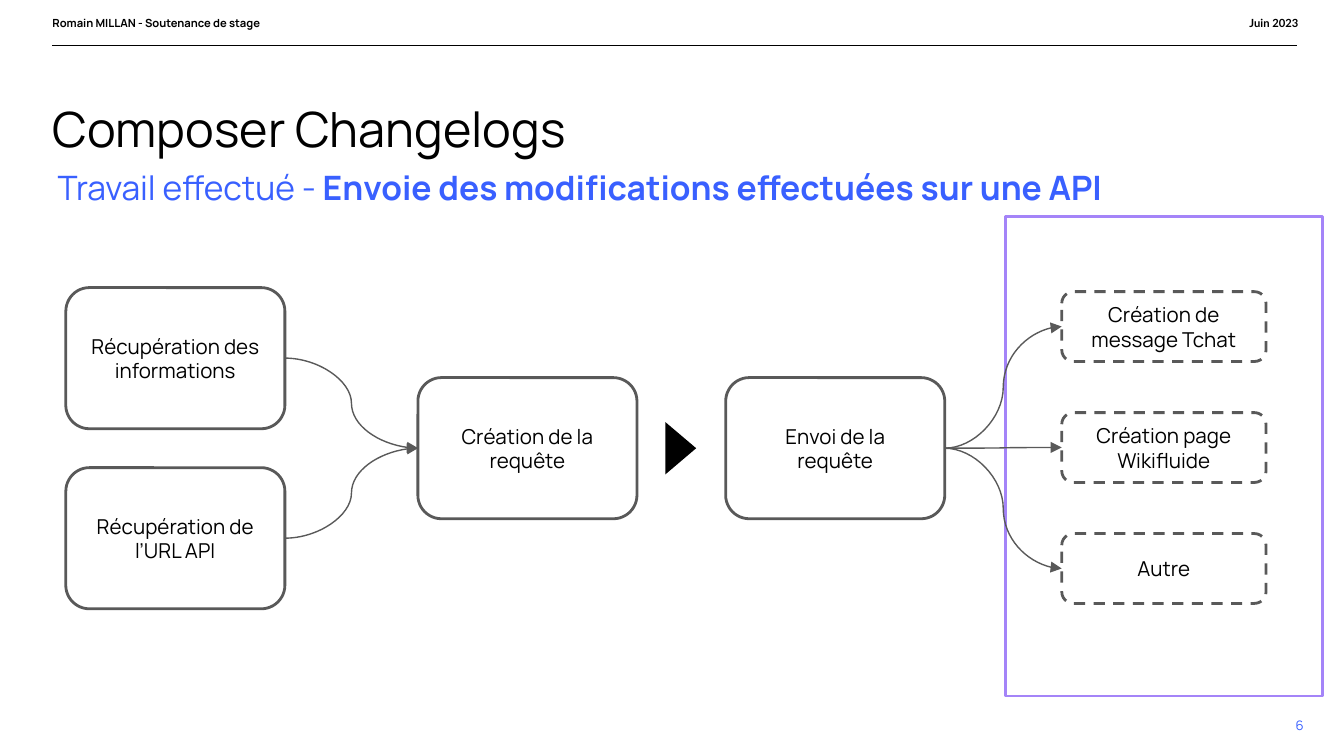
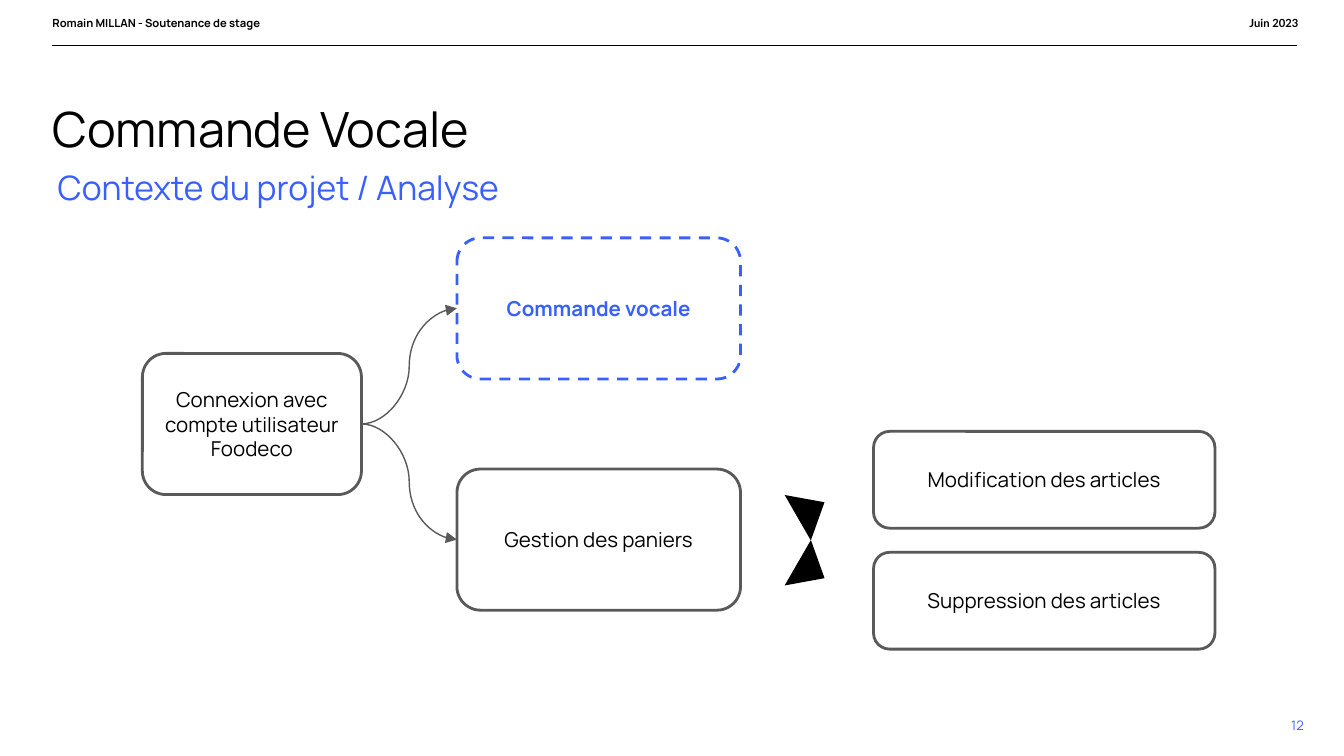
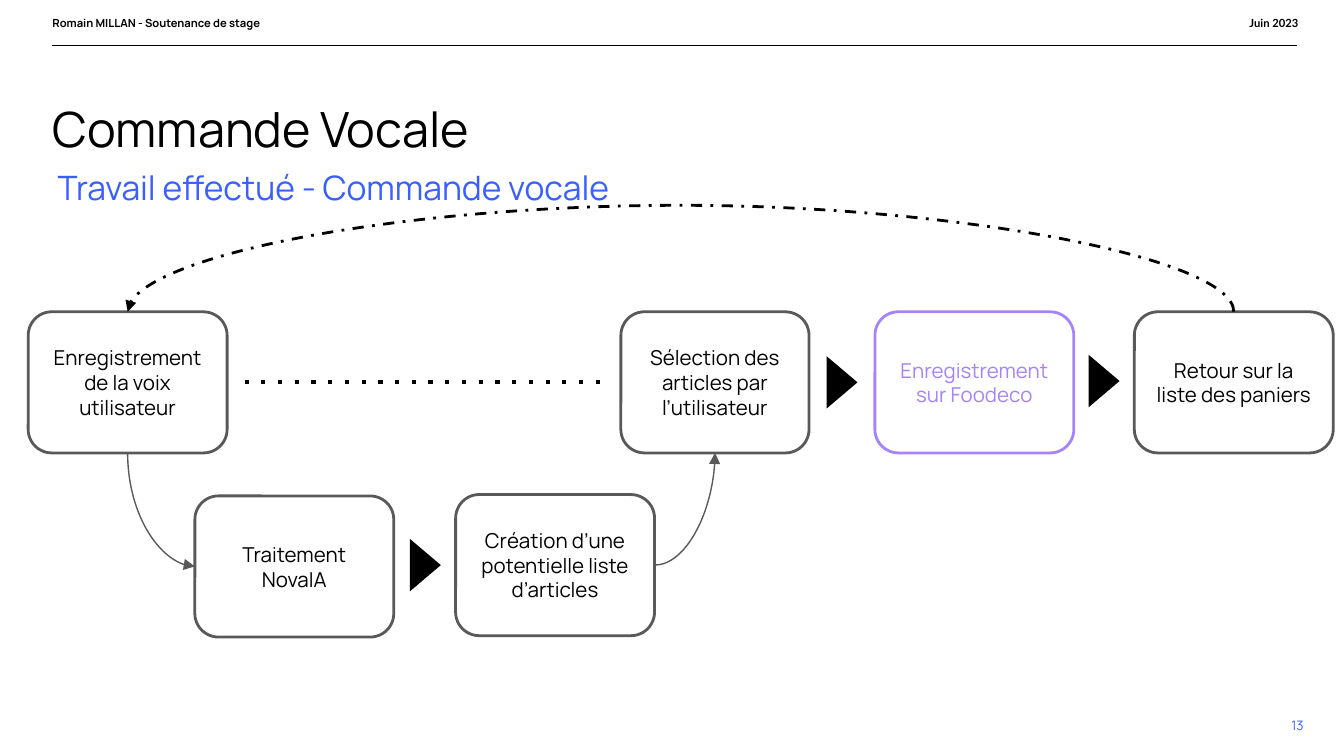
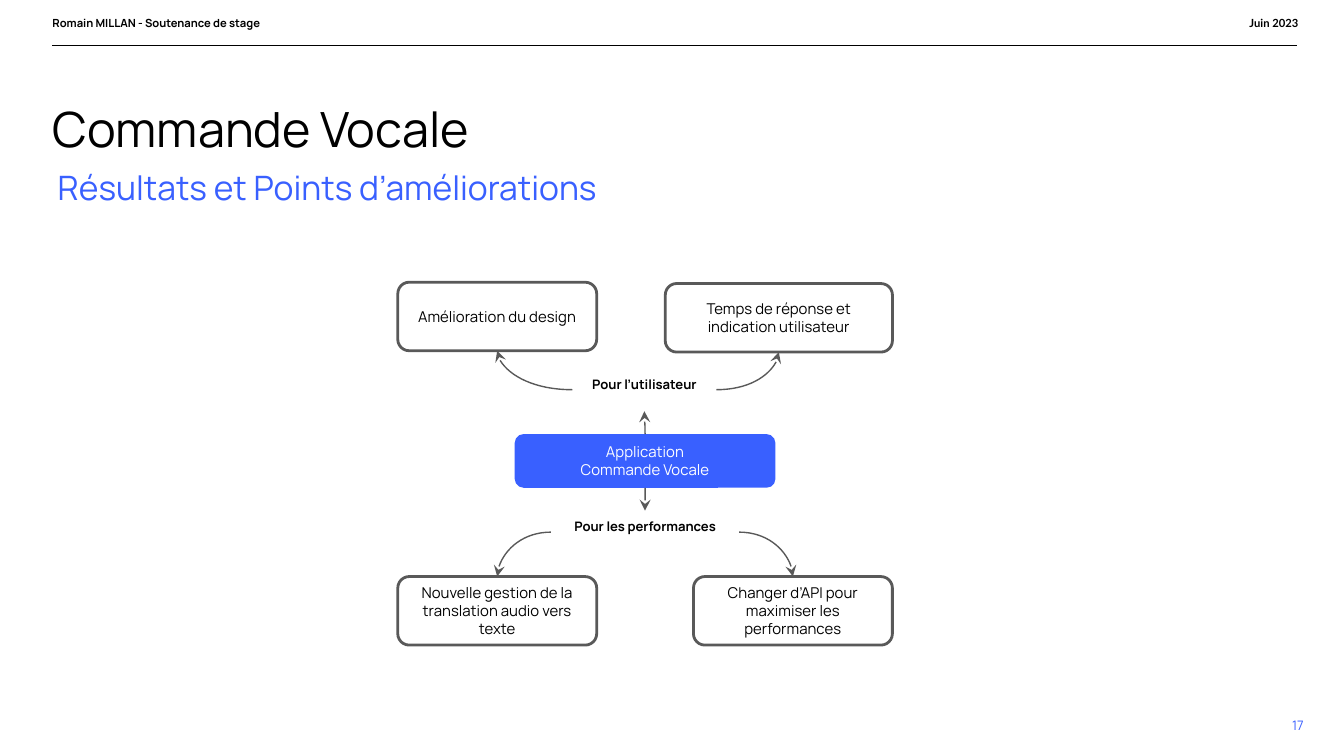
from typing import NamedTuple, Optional

import pptx
import pptx.dml.color
import pptx.enum.dml
import pptx.enum.shapes
import pptx.enum.text
import pptx.oxml
import pptx.oxml.ns
import pptx.util

Inches, Pt = pptx.util.Inches, pptx.util.Pt
SHAPE = pptx.enum.shapes.MSO_SHAPE
CONNECTOR = pptx.enum.shapes.MSO_CONNECTOR
ALIGN = pptx.enum.text.PP_ALIGN
ANCHOR = pptx.enum.text.MSO_ANCHOR
DASH = pptx.enum.dml.MSO_LINE
qn = pptx.oxml.ns.qn

COLORS = {"black": "000000", "white": "FFFFFF", "grey": "595959",
          "blue": "3960FF", "purple": "A484F8"}
FONT = "Manrope"
TOP, LEFT, BOTTOM, RIGHT = range(4)  # connection sites of a rectangle
INSET = 0.1


class Rect(NamedTuple):
    x: float
    y: float
    w: float
    h: float

    def lengths(self) -> list:
        return [Inches(v) for v in self]


class Style(NamedTuple):
    size: float
    color: str = "black"
    bold: Optional[bool] = None
    align: ALIGN = ALIGN.LEFT
    font: str = FONT


class Box(NamedTuple):
    text: str
    rect: Rect
    size: float = 11
    line: Optional[str] = "grey"
    fill: str = "white"
    color: str = "black"
    dash: Optional[DASH] = None
    bold: Optional[bool] = None


class Curve(NamedTuple):
    start: object
    start_site: int
    end: object
    end_site: int
    head: str = "triangle"
    color: str = "grey"
    width: float = 0.75
    dash: Optional[DASH] = None
    rise: float = 0  # height of the arch when both ends are level


# Basic drawing
def rgb(name: str) -> pptx.dml.color.RGBColor:
    return pptx.dml.color.RGBColor.from_string(COLORS[name])


def set_style(p, style: Style) -> None:
    p.alignment = style.align
    p.font.name, p.font.size, p.font.bold = style.font, Pt(style.size), style.bold
    p.font.color.rgb = rgb(style.color)


def fill_text(tf, text: str, style: Style, insets=(INSET,) * 4, anchor=ANCHOR.TOP):
    """Write text, one paragraph a line; insets are left, top, right, bottom."""
    tf.word_wrap = True
    tf.vertical_anchor = anchor
    tf.margin_left, tf.margin_top, tf.margin_right, tf.margin_bottom = map(Inches, insets)
    tf.text = text
    for p in tf.paragraphs:
        set_style(p, style)
    return tf.paragraphs[0]


def add_text(slide, rect: Rect, text: str, style: Style, insets=(0, 0, 0, 0),
             anchor=ANCHOR.TOP):
    tf = slide.shapes.add_textbox(*rect.lengths()).text_frame
    return fill_text(tf, text, style, insets, anchor)


def add_shape(slide, kind: SHAPE, rect: Rect, fill: Optional[str] = None,
              line: Optional[str] = None):
    sp = slide.shapes.add_shape(kind, *rect.lengths())
    sp.shadow.inherit = False
    if fill:
        sp.fill.solid()
        sp.fill.fore_color.rgb = rgb(fill)
    else:
        sp.fill.background()
    if line:
        sp.line.color.rgb = rgb(line)
        sp.line.width = Pt(1.5)
    else:
        sp.line.fill.background()
    return sp


def add_box(slide, box: Box):
    sp = add_shape(slide, SHAPE.ROUNDED_RECTANGLE, box.rect, box.fill, box.line)
    if box.dash:
        sp.line.dash_style = box.dash
    fill_text(sp.text_frame, box.text,
              Style(box.size, box.color, box.bold, ALIGN.CENTER), anchor=ANCHOR.MIDDLE)
    return sp


def add_label(slide, rect: Rect, text: str):
    sp = slide.shapes.add_textbox(*rect.lengths())
    fill_text(sp.text_frame, text, Style(7, bold=True, align=ALIGN.CENTER))
    sp.text_frame.auto_size = pptx.enum.text.MSO_AUTO_SIZE.SHAPE_TO_FIT_TEXT
    return sp


def add_triangle(slide, x: float, y: float, rotation: float = 90) -> None:
    sp = add_shape(slide, SHAPE.ISOSCELES_TRIANGLE, Rect(x, y, 0.39, 0.23), "black")
    sp.rotation = rotation


# Lines and curves
def style_line(sp, color: str, width: float, dash: Optional[DASH] = None) -> None:
    sp.line.color.rgb = rgb(color)
    sp.line.width = Pt(width)
    if dash:
        sp.line.dash_style = dash
    sp._element.spPr.append(pptx.oxml.parse_xml(
        '<a:effectLst %s/>' % pptx.oxml.ns.nsdecls("a")))


def add_line(slide, x1: float, x2: float, y: float, width: float,
             dash: Optional[DASH] = None):
    sp = slide.shapes.add_connector(CONNECTOR.STRAIGHT, Inches(x1), Inches(y),
                                    Inches(x2), Inches(y))
    style_line(sp, "black", width, dash)
    return sp


def turn_upright(sp, rise: float) -> None:
    """Make a curve leave its start vertically: a quarter turn plus flips."""
    dx, dy = sp.end_x - sp.begin_x, sp.end_y - sp.begin_y
    mid_x, mid_y = (sp.begin_x + sp.end_x) // 2, (sp.begin_y + sp.end_y) // 2
    length = max(abs(dy), 600)
    sp.width, sp.height = length, abs(dx)
    sp.left, sp.top = mid_x - length // 2, mid_y - abs(dx) // 2
    xfrm = sp._element.spPr.xfrm
    xfrm.set("rot", str(90 * 60000))
    xfrm.flipH, xfrm.flipV = dy < 0, dx > 0
    if rise:
        adjust = round(-Inches(rise) / length * 100000)
        guides = sp._element.spPr.find(qn("a:prstGeom")).find(qn("a:avLst"))
        guides.append(pptx.oxml.parse_xml(
            '<a:gd %s name="adj1" fmla="val %d"/>' % (pptx.oxml.ns.nsdecls("a"), adjust)))


def add_curve(slide, curve: Curve) -> None:
    sp = slide.shapes.add_connector(CONNECTOR.CURVE, 0, 0, 0, 0)
    sp.begin_connect(curve.start, curve.start_site)
    sp.end_connect(curve.end, curve.end_site)
    upright = curve.start_site in (TOP, BOTTOM)
    if upright != (curve.end_site in (TOP, BOTTOM)):
        sp._element.spPr.find(qn("a:prstGeom")).set("prst", "curvedConnector2")
    if upright:
        turn_upright(sp, curve.rise)
    style_line(sp, curve.color, curve.width, curve.dash)
    sp._element.spPr.find(qn("a:ln")).append(pptx.oxml.parse_xml(
        '<a:tailEnd %s type="%s"/>' % (pptx.oxml.ns.nsdecls("a"), curve.head)))


# Header, titles and page number shared by the slides
def new_slide(prs, title: str, subtitle: str, page: int, bold_part: str = ""):
    slide = prs.slides.add_slide(prs.slide_layouts[6])
    add_line(slide, 0.39, 9.65, 0.34, 0.75)
    add_text(slide, Rect(0.39, 0.12, 2.16, 0.3), "Romain MILLAN - Soutenance de stage",
             Style(6, bold=True))
    add_text(slide, Rect(8.39, 0.12, 1.27, 0.27), "Juin 2023",
             Style(6, bold=True, align=ALIGN.RIGHT, font="Lato"))
    p = add_text(slide, Rect(0.39, 0.67, 9.32, 0.43), title, Style(26))
    p.line_spacing = 1.15
    p = add_text(slide, Rect(0.43, 1.14, 8.73, 0.33), subtitle, Style(18, "blue"),
                 (0, INSET, INSET, INSET))
    if bold_part:
        r = p.add_run()
        r.text = bold_part
        r.font.bold = True
    add_text(slide, Rect(8.88, 5.18, 0.82, 0.43), str(page),
             Style(7, "blue", align=ALIGN.RIGHT), (INSET, INSET, 0, INSET), ANCHOR.MIDDLE)
    return slide


# Slides
def changelog_slide(prs) -> None:
    slide = new_slide(prs, "Composer Changelogs", "Travail effectué - ", 6,
                      "Envoie des modifications effectuées sur une API")
    add_shape(slide, SHAPE.RECTANGLE, Rect(7.48, 1.61, 2.36, 3.57), line="purple")
    steps = [("Récupération des informations", 0.49, 2.14),
             ("Récupération de l’URL API", 0.49, 3.48),
             ("Création de la requête", 3.11, 2.81),
             ("Envoi de la requête", 5.4, 2.81)]
    infos, url, creation, sending = [
        add_box(slide, Box(text, Rect(x, y, 1.63, 1.05))) for text, x, y in steps]
    add_triangle(slide, 4.87, 3.22)
    for source in (infos, url):
        add_curve(slide, Curve(source, RIGHT, creation, LEFT))
    outputs = ["Création de message Tchat", "Création page Wikifluide", "Autre"]
    for i, text in enumerate(outputs):
        output = add_box(slide, Box(text, Rect(7.9, 2.17 + i * 0.9, 1.52, 0.52),
                                    dash=DASH.DASH))
        add_curve(slide, Curve(sending, RIGHT, output, LEFT))


def context_slide(prs) -> None:
    slide = new_slide(prs, "Commande Vocale", "Contexte du projet / Analyse", 12)
    login = add_box(slide, Box("Connexion avec compte utilisateur Foodeco",
                               Rect(1.06, 2.63, 1.63, 1.05)))
    branches = [Box("Commande vocale", Rect(3.4, 1.77, 2.11, 1.05), line="blue",
                    color="blue", dash=DASH.DASH, bold=True),
                Box("Gestion des paniers", Rect(3.4, 3.49, 2.11, 1.05))]
    for branch in branches:
        add_curve(slide, Curve(login, RIGHT, add_box(slide, branch), LEFT))
    actions = ["Modification des articles", "Suppression des articles"]
    for i, text in enumerate(actions):
        add_box(slide, Box(text, Rect(6.5, 3.21 + i * 0.9, 2.54, 0.72)))
        add_triangle(slide, 5.84, 3.68 + i * 0.45, 60 + i * 60)


def voice_slide(prs) -> None:
    slide = new_slide(prs, "Commande Vocale", "Travail effectué - Commande vocale", 13)
    w, h, y = 1.48, 1.05, 2.32
    steps = [Box("Enregistrement de la voix utilisateur", Rect(0.21, y, w, h)),
             Box("Traitement NovaIA", Rect(1.45, 3.69, w, h)),
             Box("Création d’une potentielle liste d’articles", Rect(3.39, 3.68, w, h)),
             Box("Sélection des articles par l’utilisateur", Rect(4.62, y, 1.4, h)),
             Box("Enregistrement sur Foodeco", Rect(6.51, y, w, h), line="purple",
                 color="purple"),
             Box("Retour sur la liste des paniers", Rect(8.44, y, w, h))]
    voice, processing, proposal, choice, _, back = [add_box(slide, s) for s in steps]
    for x, top in ((2.97, 4.09), (6.07, 2.73), (8.02, 2.72)):
        add_triangle(slide, x, top)
    dots = add_line(slide, 1.82, 4.49, 2.84, 2.25, DASH.ROUND_DOT)
    # The widely spaced "dot" preset has no enum member
    dots._element.spPr.find(qn("a:ln")).find(qn("a:prstDash")).set("val", "dot")
    add_curve(slide, Curve(voice, BOTTOM, processing, LEFT))
    add_curve(slide, Curve(proposal, RIGHT, choice, BOTTOM))
    add_curve(slide, Curve(back, TOP, voice, TOP, color="black", width=1.5,
                           dash=DASH.DASH_DOT, rise=0.66))


def results_slide(prs) -> None:
    slide = new_slide(prs, "Commande Vocale", "Résultats et Points d’améliorations", 17)
    h = 0.51
    ideas = [("Amélioration du design", Rect(2.96, 2.1, 1.48, h)),
             ("Temps de réponse et indication utilisateur", Rect(4.95, 2.11, 1.69, h)),
             ("Nouvelle gestion de la translation audio vers texte",
              Rect(2.96, 4.29, 1.48, h)),
             ("Changer d’API pour maximiser les performances",
              Rect(5.16, 4.29, 1.48, h))]
    design, delay, audio, api = [add_box(slide, Box(t, rect, 8)) for t, rect in ideas]
    user = add_label(slide, Rect(4.26, 2.74, 1.07, 0.32), "Pour l’utilisateur")
    speed = add_label(slide, Rect(4.1, 3.8, 1.4, 0.32), "Pour les performances")
    app = add_box(slide, Box("Application\nCommande Vocale", Rect(3.83, 3.23, 1.94, 0.4),
                             8, None, "blue", "white"))
    links = [(user, LEFT, design, BOTTOM), (user, RIGHT, delay, BOTTOM),
             (app, BOTTOM, speed, TOP), (app, TOP, user, BOTTOM),
             (speed, LEFT, audio, TOP), (speed, RIGHT, api, TOP)]
    for link in links:
        add_curve(slide, Curve(*link, head="stealth"))


def main() -> None:
    prs = pptx.Presentation()
    prs.slide_width = Inches(10)
    prs.slide_height = prs.slide_width * 9 // 16
    for build in (changelog_slide, context_slide, voice_slide, results_slide):
        build(prs)
    prs.save("out.pptx")


if __name__ == "__main__":
    main()
